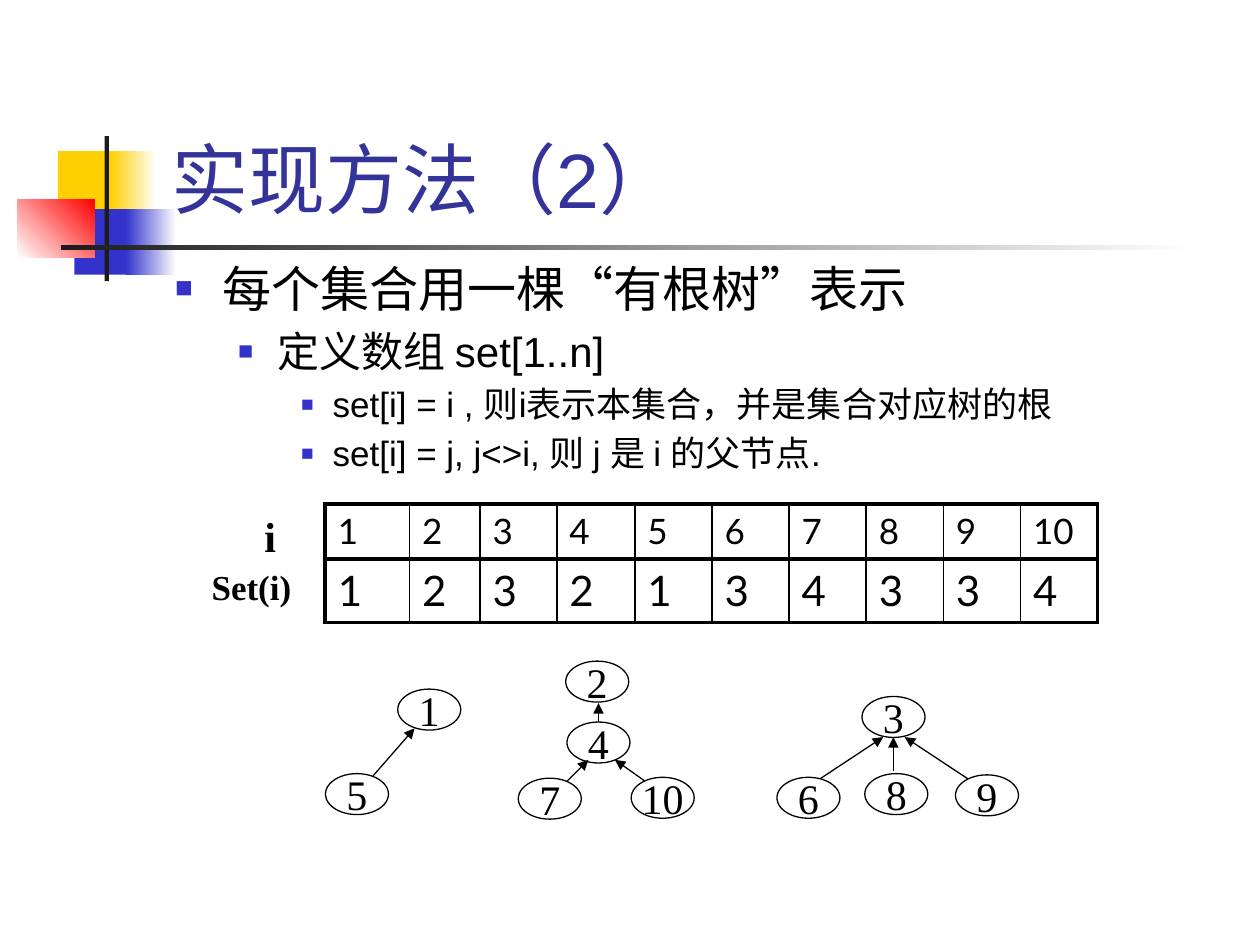
"""Build the slide on storing disjoint sets as rooted trees."""
from dataclasses import dataclass

from lxml import etree
from pptx import Presentation
from pptx.dml.color import RGBColor
from pptx.enum.shapes import MSO_CONNECTOR, MSO_SHAPE
from pptx.enum.text import MSO_ANCHOR, MSO_AUTO_SIZE, PP_ALIGN
from pptx.oxml.ns import qn
from pptx.util import Pt

RECTANGLE, OVAL = MSO_SHAPE.RECTANGLE, MSO_SHAPE.OVAL
STRAIGHT = MSO_CONNECTOR.STRAIGHT
BOTTOM, MIDDLE, TOP = MSO_ANCHOR.BOTTOM, MSO_ANCHOR.MIDDLE, MSO_ANCHOR.TOP
NO_AUTOFIT, GROW = MSO_AUTO_SIZE.NONE, MSO_AUTO_SIZE.SHAPE_TO_FIT_TEXT
LEFT, CENTER = PP_ALIGN.LEFT, PP_ALIGN.CENTER


@dataclass(frozen=True)
class Theme:
    """Colours, fonts and type sizes of the slide."""
    title: str = "333399"
    text: str = "000000"
    white: str = "FFFFFF"
    yellow: str = "FFCF01"
    blue: str = "3333CC"
    red: str = "FF0000"
    bar: str = "1C1C1C"
    sans: str = "Arial"
    table_font: str = "Lato"
    serif: str = "Times New Roman"
    title_size: float = 44
    body_sizes: tuple = (28, 24, 20)
    row_sizes: tuple = (20, 24)
    node_size: float = 24
    thin: float = 0.75
    grid: float = 1
    frame: float = 2.25


THEME = Theme()


@dataclass(frozen=True)
class Box:
    """A rectangle in points."""
    left: float
    top: float
    width: float
    height: float

    def lengths(self) -> tuple:
        """Return the four lengths for python-pptx."""
        return Pt(self.left), Pt(self.top), Pt(self.width), Pt(self.height)


@dataclass(frozen=True)
class Block:
    """A borderless block, fading to a second colour if one is given."""
    box: Box
    color: str
    fade: str = ""
    angle: float = 0


@dataclass(frozen=True)
class Bullet:
    """A list item with its level."""
    level: int
    text: str


@dataclass(frozen=True)
class Label:
    """A row label beside the table."""
    text: str
    box: Box
    size: float


@dataclass(frozen=True)
class Node:
    """A tree node at its left top corner."""
    text: str
    left: float
    top: float


@dataclass(frozen=True)
class Edge:
    """An arrow from a child to its parent."""
    start: tuple
    end: tuple


BLOCKS = [
    Block(Box(33.1, 86.4, 34.6, 37.4), THEME.yellow),
    Block(Box(63.4, 86.4, 25.9, 37.4), THEME.yellow, THEME.white),
    Block(Box(42.5, 119.5, 33.1, 37.4), THEME.blue),
    Block(Box(72, 119.5, 28.8, 37.4), THEME.blue, THEME.white),
    Block(Box(10, 113.8, 43.9, 33.1), THEME.white, THEME.red, 45),
    Block(Box(59.8, 77.8, 2.4, 82.8), THEME.bar),
    Block(Box(34.6, 140.2, 648, 2.4), THEME.bar, THEME.white),
]
TITLE = "实现方法（2）"
TITLE_BOX = Box(90.7, 16.6, 613.4, 115.2)
BODY_BOX = Box(92.9, 144, 555.1, 138.2)
BULLETS = [
    Bullet(0, "每个集合用一棵“有根树”表示"),
    Bullet(1, "定义数组 set[1..n]"),
    Bullet(2, "set[i] = i , 则i表示本集合，并是集合对应树的根"),
    Bullet(2, "set[i] = j, j<>i, 则 j 是 i 的父节点."),
]
INDENTS = [(27, -27), (58.5, -22.5), (90, -18)]
PARENTS = [1, 2, 3, 2, 1, 3, 4, 3, 3, 4]
TABLE_ROWS = [range(1, len(PARENTS) + 1), PARENTS]
TABLE_LEFT, TABLE_TOP = 185.8, 288
COLUMN_WIDTHS = [48.2, 40.3, 43.9, 44.6] + [44.1] * 6
ROW_HEIGHTS = [31.3, 36.2]
LABELS = [
    Label("i", Box(144, 288, 20.9, 36), 24),
    Label("Set(i)", Box(113.8, 319.7, 66.2, 31), 20),
]
NODE_WIDTH, NODE_HEIGHT = 36, 23.4
NODES = [
    Node("1", 227.3, 393.8), Node("5", 186, 442.1),
    Node("2", 323.3, 377.8), Node("4", 324, 412.6),
    Node("7", 296.2, 444.7), Node("10", 360.7, 444.2),
    Node("3", 492.6, 398), Node("6", 444, 444.2),
    Node("8", 494.2, 442.1), Node("9", 546, 442.8),
]
EDGES = [
    Edge((213.1, 443.5), (236.9, 416.2)), Edge((324, 446.4), (336.2, 434.2)),
    Edge((368.6, 446.4), (351.4, 434.2)), Edge((342, 412.6), (342, 401.8)),
    Edge((468.7, 445), (504.7, 421.2)), Edge((510.5, 440.6), (510.5, 421.2)),
    Edge((553, 445), (517, 421.2)),
]


def rgb(color: str) -> RGBColor:
    return RGBColor.from_string(color)


def style(paragraph, family: str, size: float, color: str = THEME.text, bold: bool = False) -> None:
    """Set the font of a whole paragraph."""
    font = paragraph.font
    font.name, font.size, font.bold = family, Pt(size), bold
    font.color.rgb = rgb(color)


def add_space_before(paragraph) -> None:
    """Put a fifth of a line above a paragraph."""
    space = etree.SubElement(paragraph._p.get_or_add_pPr(), qn("a:spcBef"))
    etree.SubElement(space, qn("a:spcPct"), val="20000")


def draw_block(slide, block: Block) -> None:
    """Draw one block of the title ornament."""
    shape = slide.shapes.add_shape(RECTANGLE, *block.box.lengths())
    shape.shadow.inherit = False
    shape.line.fill.background()
    if not block.fade:
        shape.fill.solid()
        shape.fill.fore_color.rgb = rgb(block.color)
        return
    shape.fill.gradient()
    shape.fill.gradient_angle = block.angle
    for stop, color, position in zip(shape.fill.gradient_stops, (block.color, block.fade), (0, 1)):
        stop.color.rgb, stop.position = rgb(color), position


def add_bullet(paragraph, bullet: Bullet) -> None:
    """Write one list item with a small square bullet."""
    paragraph.text, paragraph.level = bullet.text, bullet.level
    add_space_before(paragraph)
    properties = paragraph._p.get_or_add_pPr()
    for name, length in zip(("marL", "indent"), INDENTS[bullet.level]):
        properties.set(name, str(Pt(length)))
    color = etree.SubElement(properties, qn("a:buClr"))
    etree.SubElement(color, qn("a:srgbClr"), val=THEME.blue)
    etree.SubElement(properties, qn("a:buSzPct"), val="60000")
    etree.SubElement(properties, qn("a:buFont"), typeface=THEME.sans)
    etree.SubElement(properties, qn("a:buChar"), char="■")
    style(paragraph, THEME.sans, THEME.body_sizes[bullet.level])


def draw_text(slide) -> None:
    """Fill the title and body placeholders, in front of the ornament."""
    title, body = slide.shapes.title, slide.placeholders[1]
    for shape, box, anchor in ((title, TITLE_BOX, BOTTOM), (body, BODY_BOX, TOP)):
        shape.left, shape.top, shape.width, shape.height = box.lengths()
        shape.text_frame.auto_size, shape.text_frame.vertical_anchor = NO_AUTOFIT, anchor
        shape.element.getparent().append(shape.element)
    title.text_frame.text = TITLE
    heading = title.text_frame.paragraphs[0]
    heading.alignment = LEFT
    style(heading, THEME.sans, THEME.title_size, THEME.title)
    frame = body.text_frame
    for index, bullet in enumerate(BULLETS):
        add_bullet(frame.add_paragraph() if index else frame.paragraphs[0], bullet)


def set_borders(cell, widths: dict) -> None:
    """Give each side of a cell its line width."""
    properties = cell._tc.get_or_add_tcPr()
    for side, width in widths.items():
        line = etree.SubElement(properties, qn(f"a:ln{side}"), w=str(Pt(width)))
        fill = etree.SubElement(line, qn("a:solidFill"))
        etree.SubElement(fill, qn("a:srgbClr"), val=THEME.text)


def draw_table(slide) -> None:
    """Draw the index and set rows."""
    box = Box(TABLE_LEFT, TABLE_TOP, sum(COLUMN_WIDTHS), sum(ROW_HEIGHTS))
    table = slide.shapes.add_table(len(TABLE_ROWS), len(PARENTS), *box.lengths()).table
    table.first_row = table.horz_banding = False
    for column, width in zip(table.columns, COLUMN_WIDTHS):
        column.width = Pt(width)
    for row, height, values, size in zip(table.rows, ROW_HEIGHTS, TABLE_ROWS, THEME.row_sizes):
        row.height = Pt(height)
        for index, (cell, value) in enumerate(zip(row.cells, values)):
            cell.text = str(value)
            paragraph = cell.text_frame.paragraphs[0]
            add_space_before(paragraph)
            style(paragraph, THEME.table_font, size)
            left = THEME.frame if index == 0 else THEME.grid
            right = THEME.frame if index == len(PARENTS) - 1 else THEME.grid
            set_borders(cell, {"L": left, "R": right, "T": THEME.frame, "B": THEME.frame})
            cell.fill.background()


def draw_label(slide, label: Label) -> None:
    """Draw a bold row label."""
    frame = slide.shapes.add_textbox(*label.box.lengths()).text_frame
    frame.word_wrap, frame.auto_size, frame.text = True, GROW, label.text
    style(frame.paragraphs[0], THEME.serif, label.size, bold=True)


def draw_node(slide, node: Node) -> None:
    """Draw a numbered tree node."""
    box = Box(node.left, node.top, NODE_WIDTH, NODE_HEIGHT)
    shape = slide.shapes.add_shape(OVAL, *box.lengths())
    shape.shadow.inherit = False
    shape.fill.solid()
    shape.fill.fore_color.rgb = rgb(THEME.white)
    shape.line.color.rgb, shape.line.width = rgb(THEME.text), Pt(THEME.thin)
    frame = shape.text_frame
    frame.word_wrap, frame.vertical_anchor, frame.text = False, MIDDLE, node.text
    frame.paragraphs[0].alignment = CENTER
    style(frame.paragraphs[0], THEME.serif, THEME.node_size)


def draw_edge(slide, edge: Edge) -> None:
    """Draw an arrow to the parent node."""
    connector = slide.shapes.add_connector(STRAIGHT, *map(Pt, edge.start + edge.end))
    connector.line.color.rgb, connector.line.width = rgb(THEME.text), Pt(THEME.thin)
    etree.SubElement(connector.line._get_or_add_ln(), qn("a:tailEnd"), type="triangle")
    etree.SubElement(connector._element.spPr, qn("a:effectLst"))


def main() -> None:
    """Build and save the presentation."""
    presentation = Presentation()
    presentation.slide_width, presentation.slide_height = Pt(720), Pt(540)
    slide = presentation.slides.add_slide(presentation.slide_layouts[1])
    for block in BLOCKS:
        draw_block(slide, block)
    draw_text(slide)
    draw_table(slide)
    for items, draw in ((LABELS, draw_label), (NODES, draw_node), (EDGES, draw_edge)):
        for item in items:
            draw(slide, item)
    presentation.save("out.pptx")


if __name__ == "__main__":
    main()
